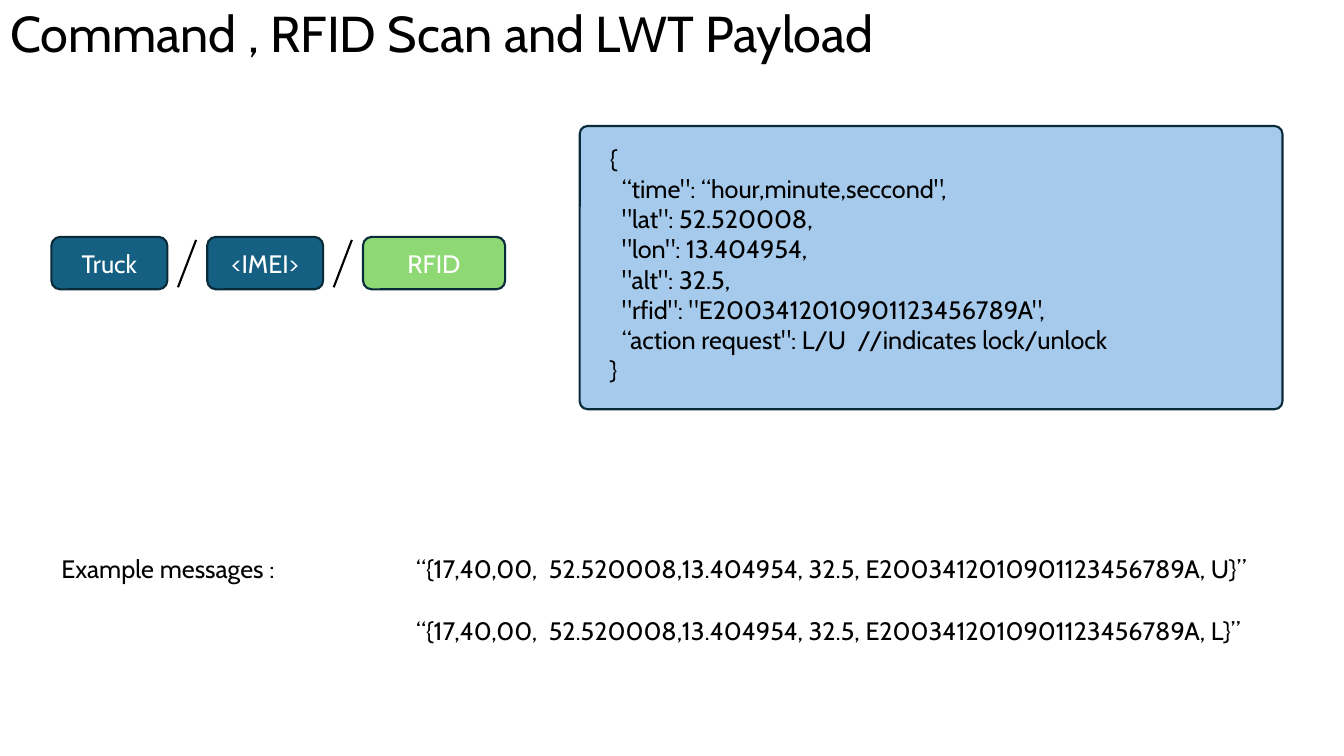
"""Build the slide on the RFID topic, its payload and two example messages."""
from lxml.etree import SubElement
from pptx import Presentation
from pptx.dml.color import RGBColor as RGB
from pptx.enum.shapes import MSO_CONNECTOR as CONN, MSO_SHAPE as SHAPE
from pptx.enum.text import MSO_ANCHOR as ANCHOR, PP_ALIGN as ALIGN
from pptx.oxml.ns import qn
from pptx.util import Inches, Pt

C = {"black": "000000", "white": "FFFFFF", "teal": "156082",
     "green": "8ED973", "sky": "A6CAEC", "edge": "092A39"}

prs = Presentation()
prs.slide_width, prs.slide_height = Inches(13.33), Inches(7.5)
s = prs.slides.add_slide(prs.slide_layouts[5])


def write(tf, lines, size=18, color="black", align=ALIGN.LEFT):
    """Fill a text frame with (text, indent) lines."""
    for i, (text, indent) in enumerate(lines):
        p = tf.paragraphs[0] if i == 0 else tf.add_paragraph()
        p.alignment = align
        if indent:
            p._p.get_or_add_pPr().set("marL", str(Inches(indent)))
        r = p.add_run()
        r.text = text
        r.font.name, r.font.size = "Cabin", Pt(size)
        r.font.color.rgb = RGB.from_string(C[color])


def box(left, top, width, height, fill):
    """Add a rounded box with a dark edge."""
    sp = s.shapes.add_shape(SHAPE.ROUNDED_RECTANGLE, Inches(left), Inches(top),
                            Inches(width), Inches(height))
    sp.shadow.inherit = False
    sp.fill.solid()
    sp.fill.fore_color.rgb = RGB.from_string(C[fill])
    sp.line.color.rgb = RGB.from_string(C["edge"])
    sp.line.width = Pt(1.5)
    return sp


title = s.shapes.title
title.left, title.top, title.width, title.height = 0, 0, Inches(11.5), Inches(0.71)
tf = title.text_frame
tf.vertical_anchor, tf.word_wrap = ANCHOR.MIDDLE, True
write(tf, [("Command , RFID Scan and LWT Payload", 0)], 36)
tf.paragraphs[0].line_spacing = 0.9

LEFT, TOPIC_TOP, STEP = 0.51, 2.35, 1.545
topic = [("Truck", 1.15, "teal"), ("<IMEI>", 1.15, "teal"), ("RFID", 1.41, "green")]
for i, (name, width, fill) in enumerate(topic):
    x = LEFT + i * STEP
    sp = box(x, TOPIC_TOP, width, 0.52, fill)
    sp.text_frame.vertical_anchor = ANCHOR.MIDDLE
    write(sp.text_frame, [(name, 0)], color="white", align=ALIGN.CENTER)
    if i:
        slash = s.shapes.add_connector(CONN.STRAIGHT, Inches(x - 0.11), Inches(2.38),
                                       Inches(x - 0.29), Inches(2.85))
        slash.line.color.rgb = RGB.from_string(C["black"])
        slash.line.width = Pt(1.5)
        SubElement(slash._element.spPr, qn("a:effectLst"))

panel = box(5.75, 1.25, 6.97, 2.81, "sky")
panel.adjustments[0] = 0.028

fields = ["“time\": “hour,minute,seccond\",", "\"lat\": 52.520008,",
          "\"lon\": 13.404954,", "\"alt\": 32.5,",
          "\"rfid\": \"E2003412010901123456789A\",",
          "“action request\": L/U  //indicates lock/unlock"]
payload = [("{", 0)] + [(field, 0.12) for field in fields] + [("}", 0)]
message = "“{{17,40,00,  52.520008,13.404954, 32.5, E2003412010901123456789A, {}}}”"
texts = [(5.95, 1.37, 5.17, 2.52, payload, False),
         (LEFT, 5.44, 2.58, 0.4, [("Example messages :", 0)], True)]
for i, action in enumerate("UL"):
    texts.append((4.03, 5.44 + i * 0.62, 8.69, 0.4, [(message.format(action), 0)], True))
for left, top, width, height, lines, wrap in texts:
    tf = s.shapes.add_textbox(Inches(left), Inches(top), Inches(width),
                              Inches(height)).text_frame
    tf.word_wrap = wrap
    write(tf, lines)

prs.save("out.pptx")
